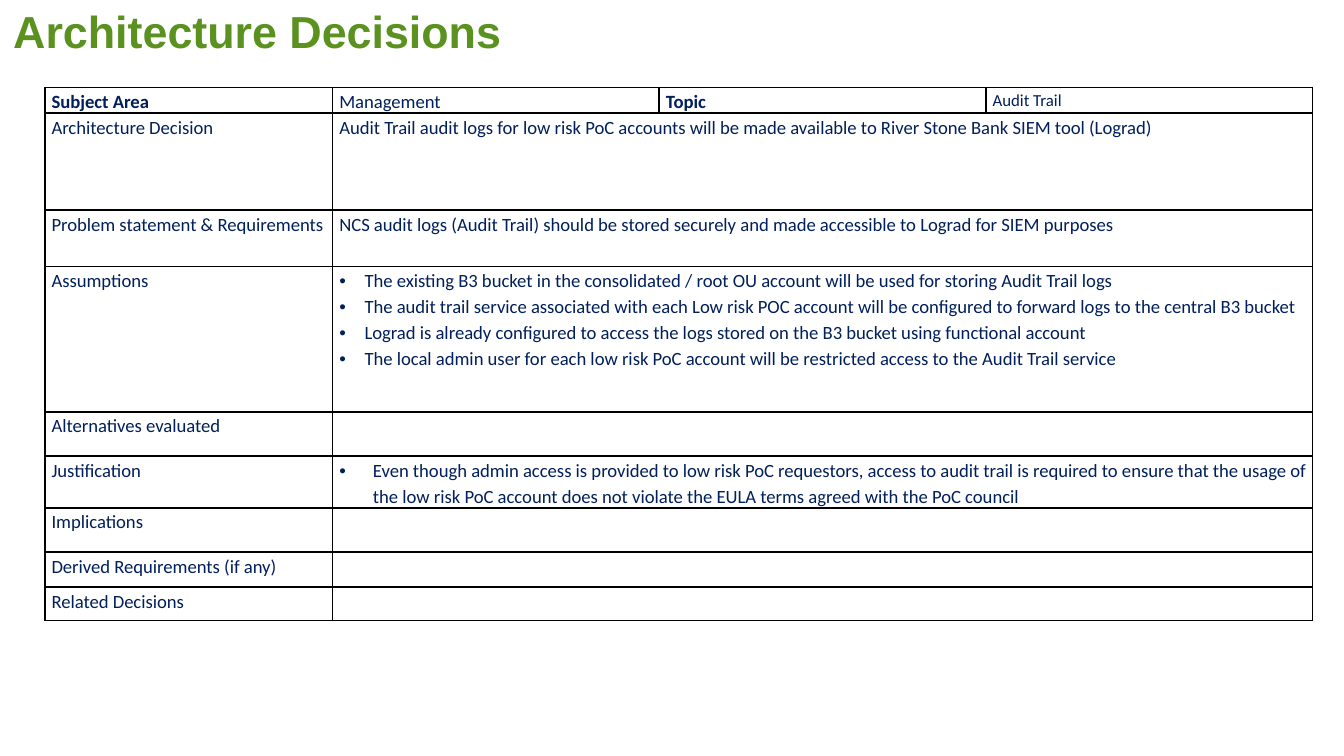
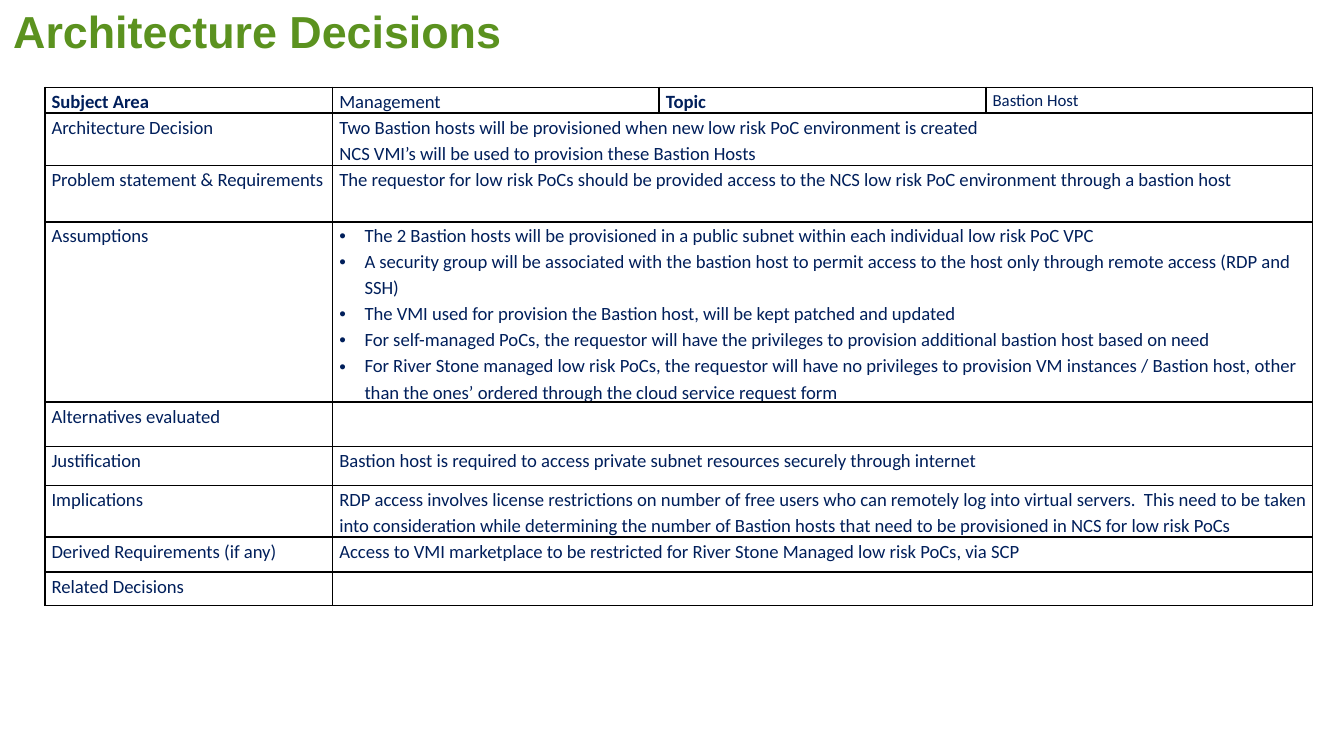
from dataclasses import dataclass

from lxml import etree
from pptx import Presentation, util as u
from pptx.dml.color import RGBColor
from pptx.enum import text
from pptx.oxml import ns

Pt = u.Pt


@dataclass(frozen=True)
class Theme:
    heading_font: str = "Arial"
    body_font: str = "Calibri"
    heading_color: str = "5B921F"
    body_color: str = "001F5B"
    border_color: str = "000000"
    heading_size: float = 24
    body_size: float = 10
    topic_size: float = 9
    line_spacing: float = 1.15
    border_width: float = 1
    cell_inset: float = 3.6


@dataclass(frozen=True)
class Entry:
    """Content of one table row; an indent above zero makes bullets."""
    lines: tuple[str, ...] = ()
    indent: float = 0


@dataclass(frozen=True)
class Decision:
    topic: str
    decision_height: float
    entries: tuple[Entry, ...]


THEME = Theme()
TITLE = "Architecture Decisions"
SUBJECT = "Management"
COLUMN_WIDTHS = (154.2, 175, 175, 175)
HEADER_HEIGHT = 13.7
BULLET_INDENT = 13.5
WIDE_INDENT = 18

# Row labels and heights; each decision sets the height of its first row
LABELS = ("Architecture Decision", "Problem statement & Requirements", "Assumptions",
          "Alternatives evaluated", "Justification", "Implications",
          "Derived Requirements (if any)", "Related Decisions")
LOWER_HEIGHTS = (30.2, 77.8, 23.8, 20.9, 23.8, 18.7, 18)

DECISIONS = (
    Decision("Audit Trail", 52, (
        Entry(("Audit Trail audit logs for low risk PoC accounts will be made available to "
               "River Stone Bank SIEM tool (Lograd)",)),
        Entry(("NCS audit logs (Audit Trail) should be stored securely and made accessible to "
               "Lograd for SIEM purposes",)),
        Entry((
            "The existing B3 bucket in the consolidated / root OU account will be used for "
            "storing Audit Trail logs",
            "The audit trail service associated with each Low risk POC account will be "
            "configured to forward logs to the central B3 bucket",
            "Lograd is already configured to access the logs stored on the B3 bucket using "
            "functional account",
            "The local admin user for each low risk PoC account will be restricted access to "
            "the Audit Trail service",
        ), BULLET_INDENT),
        Entry(),
        Entry(("Even though admin access is provided to low risk PoC requestors, access to audit "
               "trail is required to ensure that the usage of the low risk PoC account does not "
               "violate the EULA terms agreed with the PoC council",), WIDE_INDENT),
        Entry(), Entry(), Entry(),
    )),
    Decision("Bastion Host", 28, (
        Entry(("Two Bastion hosts will be provisioned when new low risk PoC environment is created",
               "NCS VMI’s will be used to provision these Bastion Hosts")),
        Entry(("The requestor for low risk PoCs should be provided access to the NCS low risk PoC "
               "environment through a bastion host",)),
        Entry((
            "The 2 Bastion hosts will be provisioned in a public subnet within each individual "
            "low risk PoC VPC",
            "A security group will be associated with the bastion host to permit access to the "
            "host only through remote access (RDP and SSH)",
            "The VMI used for provision the Bastion host, will be kept patched and updated",
            "For self-managed PoCs, the requestor will have the privileges to provision "
            "additional bastion host based on need",
            "For River Stone managed low risk PoCs, the requestor will have no privileges to "
            "provision VM instances / Bastion host, other than the ones’ ordered through the "
            "cloud service request form",
        ), BULLET_INDENT),
        Entry(),
        Entry(("Bastion host is required to access private subnet resources securely through "
               "internet",)),
        Entry(("RDP access involves license restrictions on number of free users who can remotely "
               "log into virtual servers.  This need to be taken into consideration while "
               "determining the number of Bastion hosts that need to be provisioned in NCS for "
               "low risk PoCs",)),
        Entry(("Access to VMI marketplace to be restricted for River Stone Managed low risk PoCs, "
               "via SCP",)),
        Entry(),
    )),
)


def style_run(run, font: str, size: float, color: str, bold: bool) -> None:
    run.font.name = font
    run.font.size = Pt(size)
    run.font.bold = bold
    run.font.color.rgb = RGBColor.from_string(color)


def add_bullet(paragraph, indent: float) -> None:
    properties = paragraph._p.get_or_add_pPr()
    properties.set("marL", str(Pt(indent)))
    properties.set("indent", str(-Pt(indent)))
    etree.SubElement(properties, ns.qn("a:buFont"), typeface="Arial")
    etree.SubElement(properties, ns.qn("a:buChar"), char="•")


def add_borders(cell) -> None:
    properties = cell._tc.get_or_add_tcPr()
    for position, side in enumerate(("lnL", "lnR", "lnT", "lnB")):
        line = etree.Element(ns.qn(f"a:{side}"), w=str(Pt(THEME.border_width)))
        fill = etree.SubElement(line, ns.qn("a:solidFill"))
        etree.SubElement(fill, ns.qn("a:srgbClr"), val=THEME.border_color)
        properties.insert(position, line)


def fill_cell(cell, entry: Entry, size: float = THEME.body_size, bold: bool = False) -> None:
    cell.text_frame.text = "\n".join(entry.lines)
    for paragraph in cell.text_frame.paragraphs:
        paragraph.line_spacing = THEME.line_spacing
        if entry.indent:
            add_bullet(paragraph, entry.indent)
        for run in paragraph.runs:
            style_run(run, THEME.body_font, size, THEME.body_color, bold)
        if not paragraph.runs:
            # Keeps empty rows at their set height
            etree.SubElement(paragraph._p, ns.qn("a:endParaRPr"), sz=str(int(size * 100)))


def add_title(slide) -> None:
    shape = slide.shapes.add_textbox(Pt(0), Pt(-1.5), Pt(556), Pt(36))
    shape.text_frame.word_wrap = True
    shape.text_frame.auto_size = text.MSO_AUTO_SIZE.SHAPE_TO_FIT_TEXT
    shape.text_frame.text = TITLE
    style_run(shape.text_frame.paragraphs[0].runs[0], THEME.heading_font,
              THEME.heading_size, THEME.heading_color, True)


def add_decision_table(slide, decision: Decision) -> None:
    heights = (HEADER_HEIGHT, decision.decision_height, *LOWER_HEIGHTS)
    table = slide.shapes.add_table(
        len(heights), len(COLUMN_WIDTHS), Pt(24), Pt(46.8),
        Pt(sum(COLUMN_WIDTHS)), Pt(sum(heights))).table
    table.first_row = table.horz_banding = False
    for column, width in zip(table.columns, COLUMN_WIDTHS):
        column.width = Pt(width)
    for row, height in zip(table.rows, heights):
        row.height = Pt(height)

    # Cell frames
    for cell in table.iter_cells():
        cell.fill.background()
        cell.margin_left = cell.margin_right = Pt(THEME.cell_inset)
        cell.margin_top = cell.margin_bottom = Pt(0)
        add_borders(cell)

    # Header row: labels alternate with values
    header = ("Subject Area", SUBJECT, "Topic", decision.topic)
    for index, caption in enumerate(header):
        size = THEME.topic_size if caption == decision.topic else THEME.body_size
        fill_cell(table.cell(0, index), Entry((caption,)), size, bold=index % 2 == 0)

    # Body rows: label and one merged cell
    for index, (label, entry) in enumerate(zip(LABELS, decision.entries), start=1):
        table.cell(index, 1).merge(table.cell(index, len(COLUMN_WIDTHS) - 1))
        fill_cell(table.cell(index, 0), Entry((label,)))
        for column in range(1, len(COLUMN_WIDTHS)):
            fill_cell(table.cell(index, column), entry if column == 1 else Entry())


def main() -> None:
    presentation = Presentation()
    presentation.slide_width, presentation.slide_height = Pt(720), Pt(405)
    for decision in DECISIONS:
        slide = presentation.slides.add_slide(presentation.slide_layouts[6])
        add_title(slide)
        add_decision_table(slide, decision)
    presentation.save("out.pptx")


if __name__ == "__main__":
    main()
